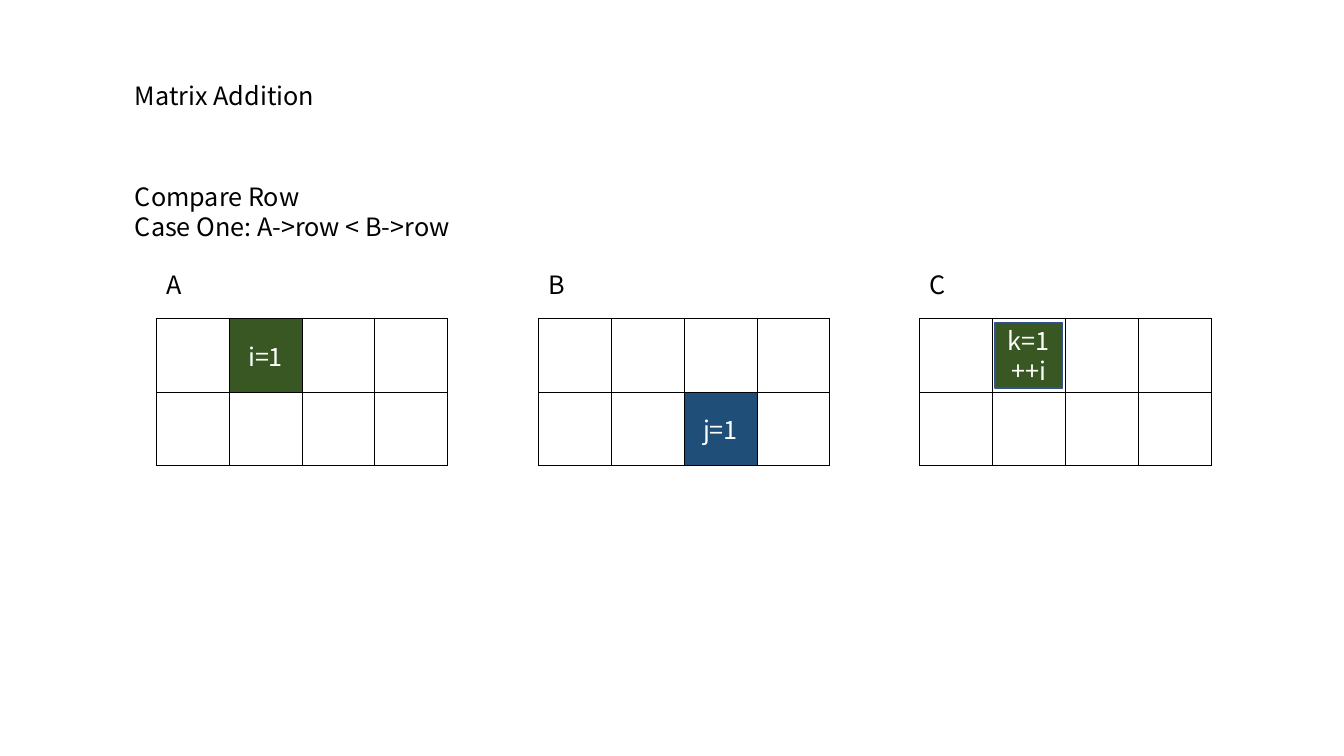
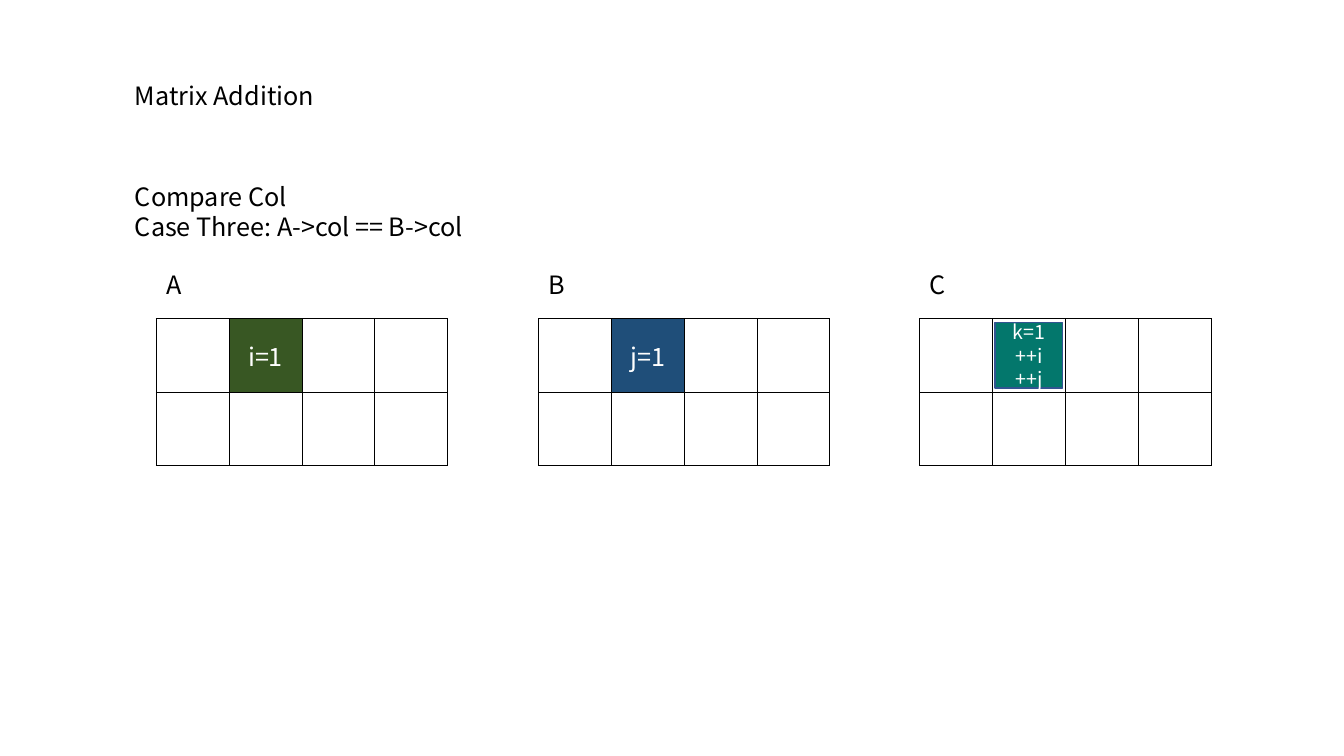
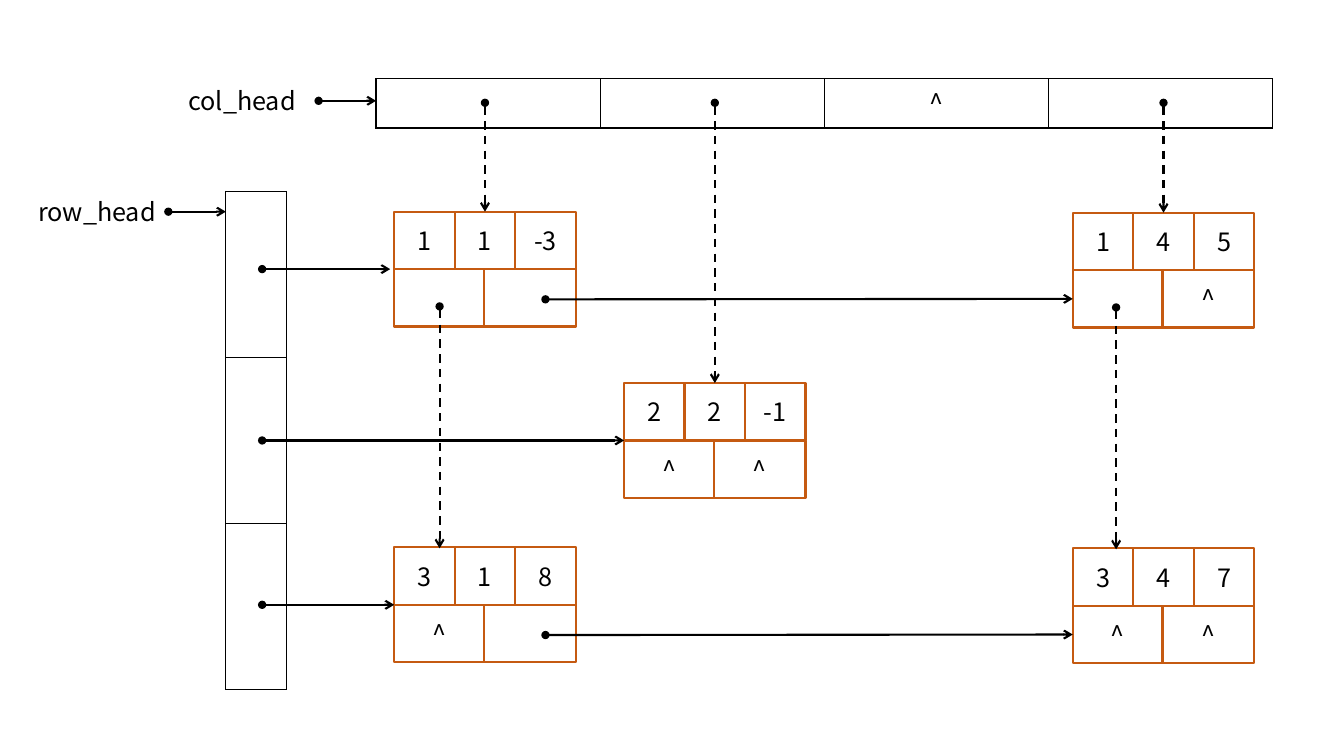
"""Builds three slides on sparse matrix addition and the cross-linked list."""
from lxml.etree import SubElement
from pptx import Presentation
from pptx.dml.color import RGBColor
from pptx.enum.dml import MSO_LINE
from pptx.enum.shapes import MSO_CONNECTOR, MSO_SHAPE
from pptx.enum.text import MSO_ANCHOR, MSO_AUTO_SIZE, PP_ALIGN
from pptx.oxml.ns import qn
from pptx.util import Inches, Pt

BLACK = RGBColor(0x00, 0x00, 0x00)
WHITE = RGBColor(0xFF, 0xFF, 0xFF)
GREEN = RGBColor(0x38, 0x57, 0x23)
BLUE = RGBColor(0x1F, 0x4E, 0x79)
TEAL = RGBColor(0x03, 0x77, 0x6C)
OUTLINE = RGBColor(0x32, 0x54, 0x91)
ORANGE = RGBColor(0xC5, 0x5A, 0x11)
FONT = "Noto Sans CJK SC"
TOP, LEFT = 0, 1
RIGHT = 3


def write(text_frame, text, color=BLACK, size=18, align=PP_ALIGN.CENTER):
    text_frame.text = text
    for paragraph in text_frame.paragraphs:
        paragraph.alignment = align
        for run in paragraph.runs:
            run.font.name = FONT
            run.font.size = Pt(size)
            run.font.color.rgb = color


def add_grid(slide, left, top, width, height, rows, columns, border):
    frame = slide.shapes.add_table(rows, columns, Inches(left), Inches(top),
                                   Inches(width), Inches(height))
    table = frame.table
    table.first_row = table.horz_banding = False
    for cell in table.iter_cells():
        properties = cell._tc.get_or_add_tcPr()
        for side in ("lnL", "lnR", "lnT", "lnB"):
            line = SubElement(properties, qn(f"a:{side}"), w=str(Pt(border)))
            fill = SubElement(line, qn("a:solidFill"))
            SubElement(fill, qn("a:srgbClr"), val=str(BLACK))
        cell.fill.background()
    return table


presentation = Presentation()
presentation.slide_width = Inches(13.33)
presentation.slide_height = Inches(7.5)
blank = presentation.slide_layouts[6]

cases = [
    ("Compare Row\nCase One: A->row < B->row", (1, 2), "k=1\n++i", GREEN, 18),
    ("Compare Col\nCase Three: A->col == B->col", (0, 1), "k=1\n++i\n++j", TEAL, 14),
]
matrices = [("A", 1.55), ("B", 5.34), ("C", 9.12)]

for case, b_position, result, result_color, result_size in cases:
    slide = presentation.slides.add_slide(blank)
    texts = [("Matrix Addition", 1.24, 0.75, 3.51, 0.4), (case, 1.24, 1.75, 6.36, 0.71)]
    texts += [(name, left, 2.62, 1.61, 0.4) for name, left in matrices]
    for text, left, top, width, height in texts:
        box = slide.shapes.add_textbox(Inches(left), Inches(top), Inches(width), Inches(height))
        box.text_frame.word_wrap = True
        box.text_frame.auto_size = MSO_AUTO_SIZE.SHAPE_TO_FIT_TEXT
        write(box.text_frame, text, align=PP_ALIGN.LEFT)

    marks = {"A": ((0, 1), "i=1", GREEN), "B": (b_position, "j=1", BLUE)}
    for name, left in matrices:
        table = add_grid(slide, left, 3.16, 2.89, 1.46, 2, 4, 0.5)
        if name in marks:
            position, text, color = marks[name]
            cell = table.cell(*position)
            cell.fill.solid()
            cell.fill.fore_color.rgb = color
            cell.vertical_anchor = MSO_ANCHOR.MIDDLE
            write(cell.text_frame, text, WHITE)

    shape = slide.shapes.add_shape(MSO_SHAPE.RECTANGLE, Inches(9.87), Inches(3.2),
                                   Inches(0.67), Inches(0.65))
    shape.shadow.inherit = False
    shape.fill.solid()
    shape.fill.fore_color.rgb = result_color
    shape.line.color.rgb = OUTLINE
    shape.line.width = Pt(1)
    write(shape.text_frame, result, WHITE, result_size)

slide = presentation.slides.add_slide(blank)
column_heads = add_grid(slide, 3.73, 0.78, 8.89, 0.49, 1, 4, 1)
write(column_heads.cell(0, 2).text_frame, "^")
add_grid(slide, 2.24, 1.9, 0.6, 4.94, 3, 1, 1)

CELL_WIDTH, CELL_HEIGHT = 0.6, 0.57
parts = [(0, 0, CELL_WIDTH), (CELL_WIDTH, 0, CELL_WIDTH), (2 * CELL_WIDTH, 0, CELL_WIDTH),
         (0, CELL_HEIGHT, 0.89), (0.89, CELL_HEIGHT, 0.91)]
nodes = {
    "1,1": (3.91, 2.1, ["1", "1", "-3", "", ""]),
    "1,4": (10.64, 2.11, ["1", "4", "5", "", "^"]),
    "2,2": (6.19, 3.8, ["2", "2", "-1", "^", "^"]),
    "3,1": (3.91, 5.43, ["3", "1", "8", "^", ""]),
    "3,4": (10.64, 5.44, ["3", "4", "7", "^", "^"]),
}
column_cells, down_cells = {}, {}
for name, (left, top, values) in nodes.items():
    group = slide.shapes.add_group_shape()
    node_cells = []
    for (x, y, width), value in zip(parts, values):
        shape = group.shapes.add_shape(MSO_SHAPE.RECTANGLE, Inches(left + x), Inches(top + y),
                                       Inches(width), Inches(CELL_HEIGHT))
        shape.shadow.inherit = False
        shape.fill.background()
        shape.line.color.rgb = ORANGE
        shape.line.width = Pt(1.5)
        if value:
            write(shape.text_frame, value)
        node_cells.append(shape)
    column_cells[name], down_cells[name] = node_cells[1], node_cells[3]

labels = {}
for text, left, top in [("row_head", 0.28, 1.9), ("col_head", 1.77, 0.8)]:
    box = slide.shapes.add_textbox(Inches(left), Inches(top), Inches(1.39), Inches(0.4))
    box.text_frame.word_wrap = True
    box.text_frame.auto_size = MSO_AUTO_SIZE.SHAPE_TO_FIT_TEXT
    write(box.text_frame, text, align=PP_ALIGN.LEFT)
    labels[text] = box

arrows = [
    (4.81, 1.02, 4.81, 2.1, None, (column_cells["1,1"], TOP)),
    (7.09, 1.02, 7.09, 3.8, None, (column_cells["2,2"], TOP)),
    (11.54, 1.02, 11.54, 2.11, None, (column_cells["1,4"], TOP)),
    (4.36, 3.04, 4.36, 5.44, None, None),
    (11.07, 3.05, 11.07, 5.45, None, None),
    (2.6, 2.67, 3.87, 2.67, None, None),
    (5.41, 2.97, 10.64, 2.97, None, (down_cells["1,4"], LEFT)),
    (2.6, 4.37, 6.19, 4.37, None, None),
    (2.6, 6, 3.91, 6, None, None),
    (5.41, 6.3, 10.64, 6.3, None, (down_cells["3,4"], LEFT)),
    (1.67, 2.1, 2.24, 2.1, (labels["row_head"], RIGHT), None),
    (3.16, 1, 3.73, 1, (labels["col_head"], RIGHT), None),
]
for x1, y1, x2, y2, start, end in arrows:
    connector = slide.shapes.add_connector(MSO_CONNECTOR.STRAIGHT, Inches(x1), Inches(y1),
                                           Inches(x2), Inches(y2))
    if start:
        connector.begin_connect(*start)
    if end:
        connector.end_connect(*end)
    connector.line.color.rgb = BLACK
    connector.line.width = Pt(1.5)
    if x1 == x2:
        connector.line.dash_style = MSO_LINE.DASH
    line = connector.line._get_or_add_ln()
    SubElement(line, qn("a:headEnd"), type="oval")
    SubElement(line, qn("a:tailEnd"), type="arrow")
    SubElement(connector._element.spPr, qn("a:effectLst"))

presentation.save("out.pptx")
